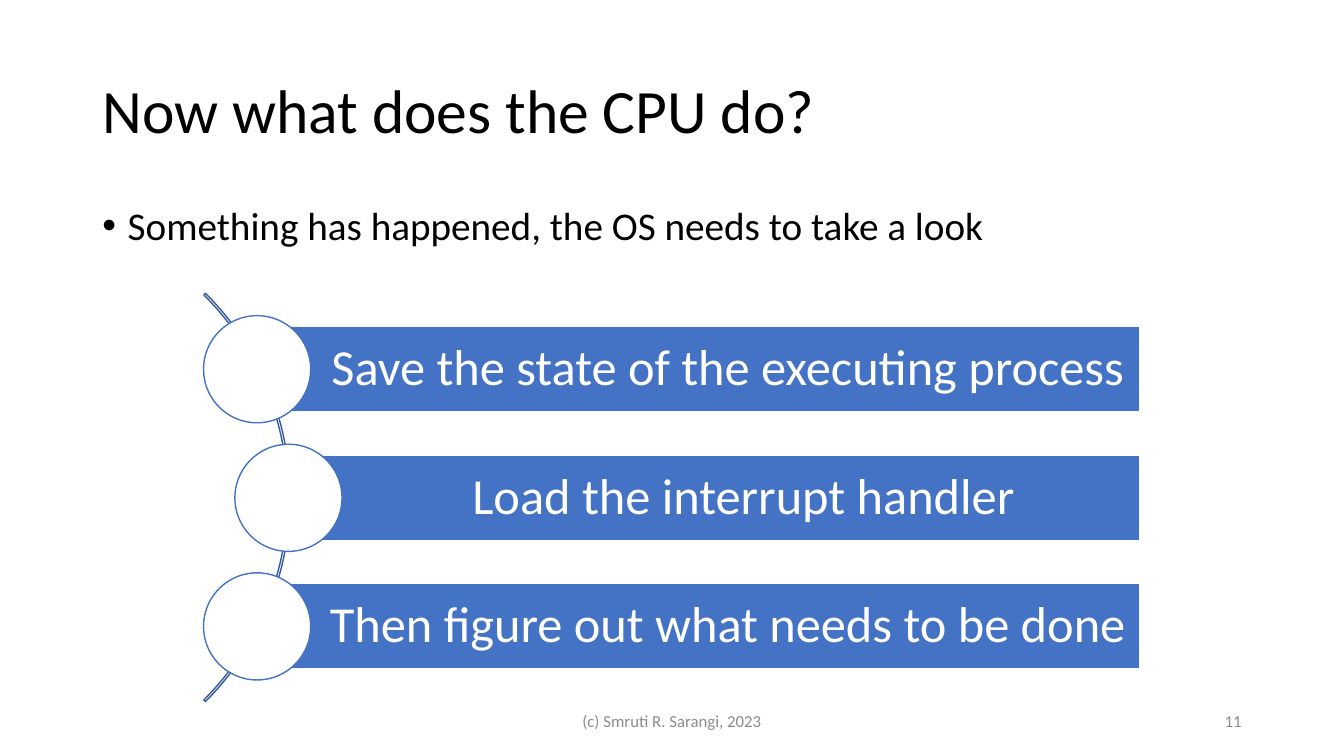
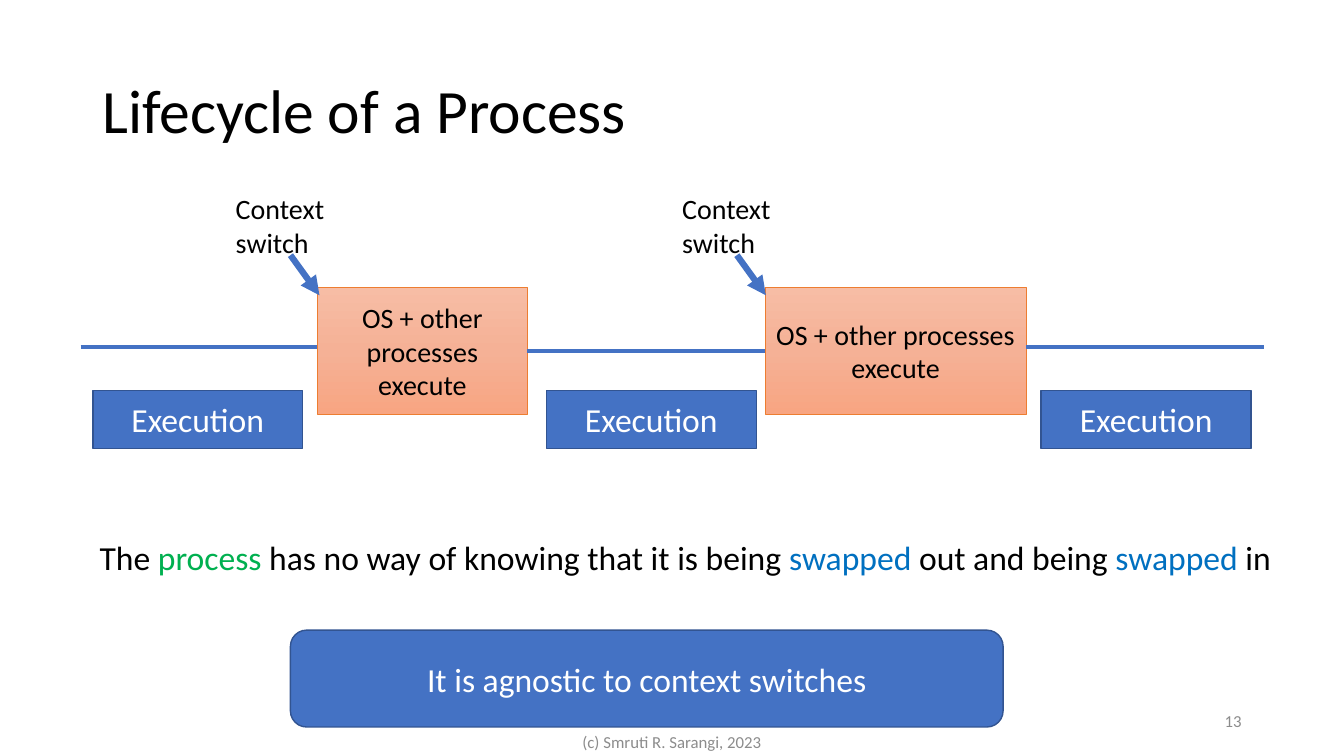
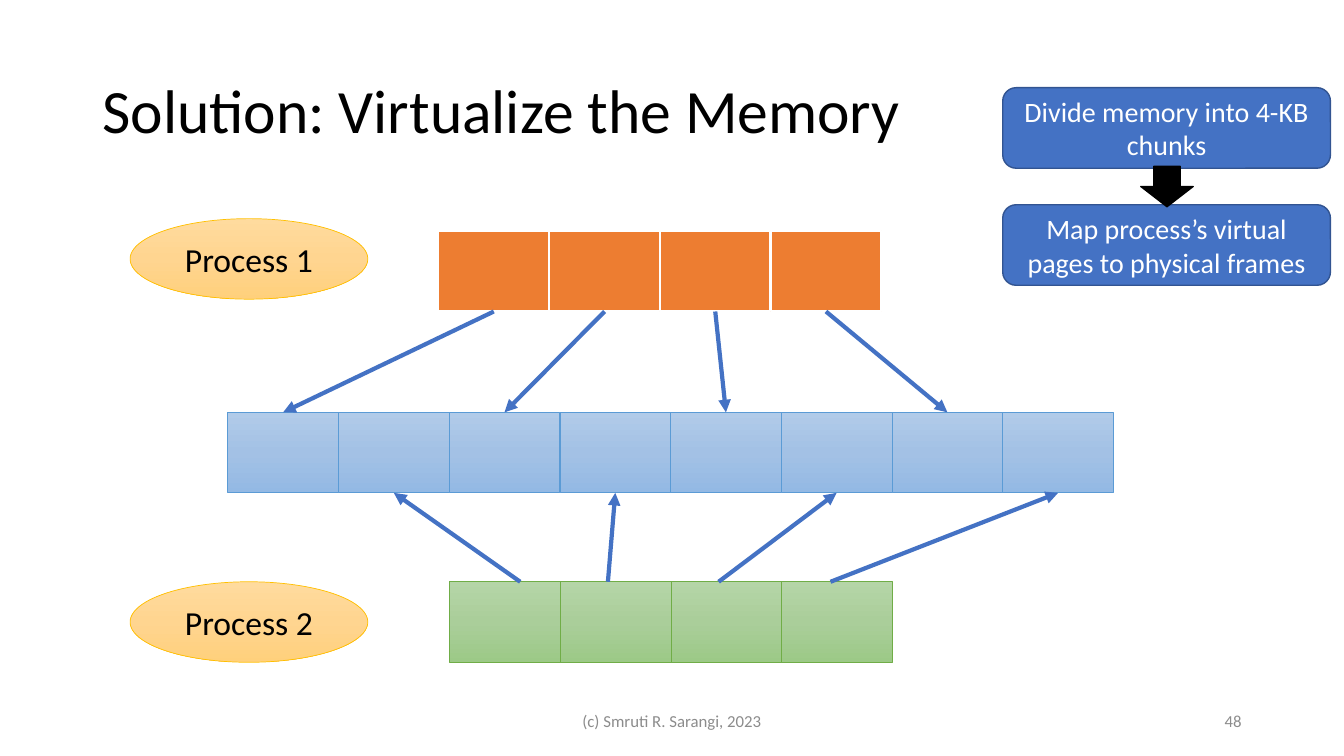
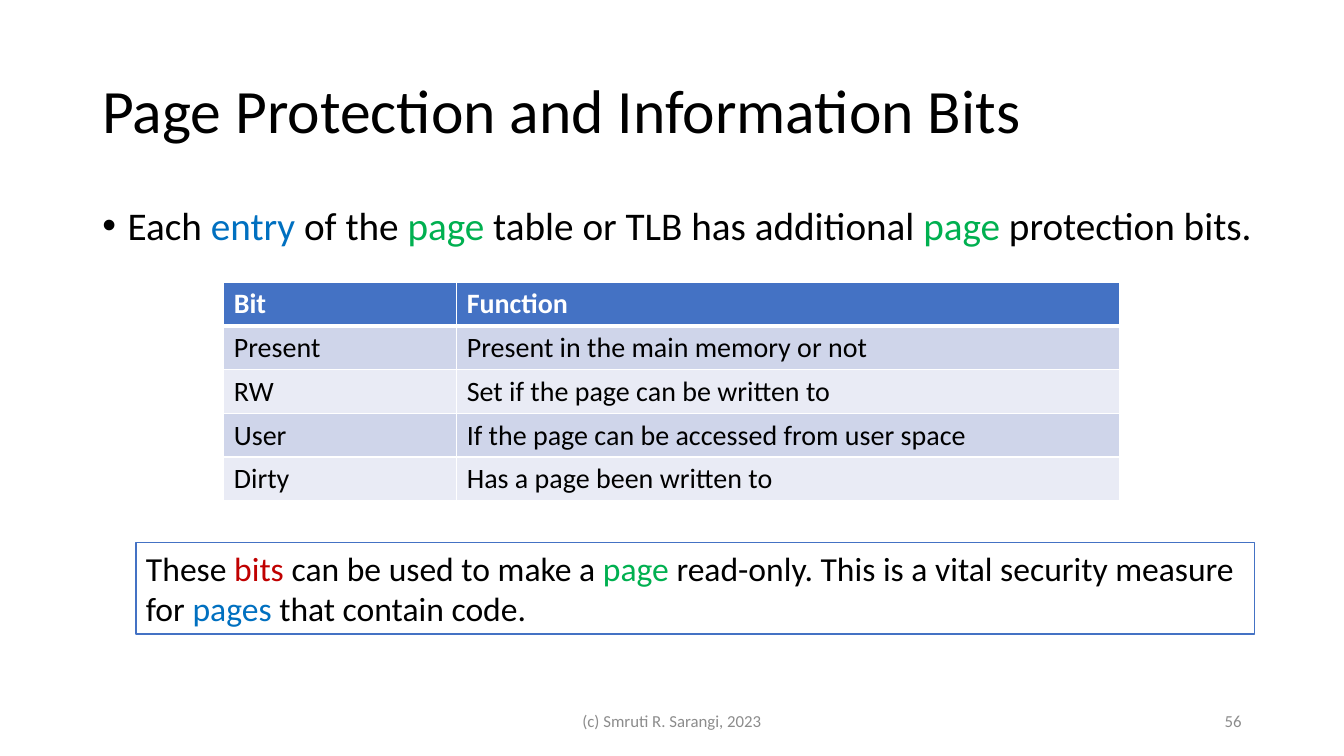
from copy import deepcopy

from lxml.etree import SubElement
from pptx import Presentation
from pptx.dml.color import RGBColor
from pptx.enum.shapes import MSO_CONNECTOR as Line, MSO_SHAPE as Preset
from pptx.enum.text import MSO_ANCHOR as Anchor, PP_ALIGN as Align
from pptx.oxml.ns import qn
from pptx.util import Cm, Pt

COLORS = {
    "black": "000000", "white": "FFFFFF", "gray": "8C8C8C",
    "blue": "4472C4", "navy": "325491", "arc": "365B9D",
    "orange": "ED7D31", "sky": "5B9BD5", "leaf": "70AD47", "gold": "FFC000",
    "green": "00B050", "azure": "0070C0", "red": "C00000",
    "band_dark": "CFD5EA", "band_light": "E9EBF5",
}
GRADIENTS = {
    "orange": ("F7BDA5", "F5B196", "F8A582"),
    "sky": ("B1CBE9", "A3C1E5", "93B9E4"),
    "leaf": ("B5D5A7", "AACE9A", "9CC987"),
    "gold": ("FFDB9E", "FFD590", "FFD07C"),
}
FONT = "Calibri"
COPYRIGHT = "(c) Smruti R. Sarangi, 2023"
CONTENT_LEFT = 2.33
CONTENT_WIDTH = 29.21
TITLE = {"font": {"size": Pt(44)}, "paragraph": {"line_spacing": 0.9},
         "frame": {"vertical_anchor": Anchor.MIDDLE}}
BULLET = {"font": {"size": Pt(28)}, "paragraph": {"line_spacing": 0.9}}
NOTE = {"font": {"size": Pt(24)}, "frame": {"word_wrap": False}}
LABEL = {"font": {"size": Pt(20)}, "frame": {"word_wrap": False}}
CELL = {"font": {"size": Pt(20), "bold": False}}
HEADER_CELL = {"font": {"size": Pt(20), "bold": True}}
STEP = {"font": {"size": Pt(36)}, "paragraph": {"line_spacing": 0.9},
        "frame": {"vertical_anchor": Anchor.MIDDLE, "margin_left": Cm(1.73)}}


def centered(size, alignment=Align.CENTER):
    return {"font": {"size": Pt(size)}, "paragraph": {"alignment": alignment},
            "frame": {"vertical_anchor": Anchor.MIDDLE}}


def rgb(name):
    return RGBColor.from_string(COLORS[name])


def apply(target, values):
    for attribute, value in values.items():
        setattr(target, attribute, value)


def write(frame, paragraphs, style, color="black"):
    """Each paragraph is a string or a list of strings and (string, color) pairs."""
    frame.word_wrap = True
    apply(frame, style.get("frame", {}))
    for index, content in enumerate(paragraphs):
        paragraph = frame.add_paragraph() if index else frame.paragraphs[0]
        apply(paragraph, style.get("paragraph", {}))
        for part in [content] if isinstance(content, str) else content:
            words, run_color = (part, color) if isinstance(part, str) else part
            for line_index, line in enumerate(words.split("\n")):
                if line_index:
                    paragraph.add_line_break()
                run = paragraph.add_run()
                run.text = line
                apply(run.font, {"name": FONT, **style["font"]})
                run.font.color.rgb = rgb(run_color)


def add_text(slide, box, paragraphs, style, color="black"):
    text = slide.shapes.add_textbox(*map(Cm, box))
    write(text.text_frame, paragraphs, style, color)
    return text


def add_bullet(slide, content, width=CONTENT_WIDTH):
    bullet = add_text(slide, (CONTENT_LEFT, 5.07, width, 2.06), [content], BULLET)
    properties = bullet.text_frame.paragraphs[0]._p.get_or_add_pPr()
    indent = Cm(0.64)
    properties.set("marL", str(indent))
    properties.set("indent", str(-indent))
    SubElement(properties, qn("a:buFont")).set("typeface", "Arial")
    SubElement(properties, qn("a:buChar")).set("char", "•")


def outline(shape, color, width):
    shape.line.color.rgb = rgb(color)
    shape.line.width = Pt(width)


def add_shape(slide, preset, box, fill="blue", line="navy", width=1):
    shape = slide.shapes.add_shape(preset, *map(Cm, box))
    shape.shadow.inherit = False
    if fill:
        shape.fill.solid()
        shape.fill.fore_color.rgb = rgb(fill)
    else:
        shape.fill.background()
    outline(shape, line, width)
    return shape


def add_gradient_shape(slide, preset, box, hue):
    shape = add_shape(slide, preset, box, hue, hue, 0.5)
    shape.fill.gradient()
    shape.fill.gradient_angle = 270
    stops = shape._element.spPr.find(".//" + qn("a:gsLst"))
    stops.insert(1, deepcopy(stops[0]))
    for index, stop in enumerate(shape.fill.gradient_stops):
        stop.position = index / 2
        stop.color.rgb = RGBColor.from_string(GRADIENTS[hue][index])
    return shape


def add_callout(slide, preset, box, words, size):
    callout = add_shape(slide, preset, box)
    write(callout.text_frame, [words], centered(size), "white")


def add_line(slide, start=(0, 0), end=(0, 0), width=3, arrow=False,
             source=None, target=None):
    """Source and target are (shape, side) pairs that replace start and end."""
    line = slide.shapes.add_connector(Line.STRAIGHT, *map(Cm, (*start, *end)))
    outline(line, "blue", width)
    SubElement(line._element.spPr, qn("a:effectLst"))
    if arrow:
        SubElement(line.line._get_or_add_ln(), qn("a:tailEnd")).set("type", "triangle")
    if source:
        line.begin_connect(*source)
    if target:
        line.end_connect(*target)


def start_slide(deck, title, number, footer_top=17.66):
    slide = deck.slides.add_slide(deck.slide_layouts[6])
    add_text(slide, (CONTENT_LEFT, 1.01, CONTENT_WIDTH, 3.68), [title], TITLE)
    add_text(slide, (11.22, footer_top, 11.43, 1.01), [COPYRIGHT], centered(12), "gray")
    add_text(slide, (23.92, 17.66, 7.62, 1.01), [str(number)],
             centered(12, Align.RIGHT), "gray")
    return slide


def build_interrupt_steps(deck):
    slide = start_slide(deck, "Now what does the CPU do?", 11)
    add_bullet(slide, "Something has happened, the OS needs to take a look")
    arc = add_shape(slide, Preset.BLOCK_ARC, (-7.24, 5.26, 14.55, 14.55), None, "arc")
    for index, value in enumerate((189, 27, 0.004)):
        arc.adjustments[index] = value
    steps = (("Save the state of the executing process", 6.48),
             ("Load the interrupt handler", 7.27),
             ("Then figure out what needs to be done", 6.48))
    right, height, diameter = 28.73, 2.15, 2.7
    for index, (words, left) in enumerate(steps):
        top = 8.23 + index * 3.24
        bar = add_shape(slide, Preset.RECTANGLE, (left, top, right - left, height),
                        line="white")
        write(bar.text_frame, [words], STEP, "white")
        add_shape(slide, Preset.OVAL,
                  (left - diameter / 2, top + (height - diameter) / 2, diameter, diameter),
                  "white", "blue")


def build_lifecycle(deck):
    slide = start_slide(deck, "Lifecycle of a Process", 13, footer_top=18.18)
    switched_out = []
    for left, width in ((8, 5.29), (19.28, 6.58)):
        box = add_gradient_shape(slide, Preset.RECTANGLE, (left, 7.24, width, 3.2), "orange")
        write(box.text_frame, ["OS + other processes execute"], centered(20))
        switched_out.append(box)
    first, second = switched_out
    add_line(slide, (2.03, 8.74), (8, 8.74))
    add_line(slide, source=(first, 3), target=(second, 1))
    add_line(slide, (25.86, 8.74), (31.85, 8.74))
    for left in (2.34, 13.77, 26.24):
        add_callout(slide, Preset.RECTANGLE, (left, 9.84, 5.29, 1.46), "Execution", 24)
    for left in (5.69, 16.94):
        add_text(slide, (left, 4.7, 2.77, 1.96), ["Context", "switch"], LABEL)
        add_line(slide, (left + 1.63, 6.43), (left + 2.36, 7.44), 4.5, arrow=True)
    swapped = ("swapped", "azure")
    add_text(slide, (2.26, 13.41, 30.3, 1.27),
             [["The ", ("process", "green"), " has no way of knowing that it is being ",
               swapped, " out and being ", swapped, " in"]], NOTE)
    add_callout(slide, Preset.ROUNDED_RECTANGLE, (7.32, 15.88, 17.96, 2.44),
                "It is agnostic to context switches", 24)


def build_virtual_memory(deck):
    slide = start_slide(deck, "Solution: Virtualize the Memory", 48)
    cell_width, cell_height = 2.79, 2.03

    def cells(left, top, count):
        return [(left + index * cell_width, top, cell_width, cell_height)
                for index in range(count)]

    frames = [add_gradient_shape(slide, Preset.RECTANGLE, box, "sky")
              for box in cells(5.74, 10.39, 8)]
    first_pages = [add_shape(slide, Preset.RECTANGLE, box, "orange", "white", 1.5)
                   for box in cells(11.05, 5.82, 4)]
    second_top = 14.66
    for box in cells(11.33, second_top, 4):
        add_gradient_shape(slide, Preset.RECTANGLE, box, "leaf")
    for words, top in (("Process 1", 5.51), ("Process 2", second_top)):
        process = add_gradient_shape(slide, Preset.OVAL, (3.28, top, 5.99, cell_height), "gold")
        write(process.text_frame, [words], centered(24))
    for page, frame in zip(first_pages, frames[::2]):
        add_line(slide, arrow=True, source=(page, 2), target=(frame, 0))
    for start, frame in zip((13.11, 15.32, 18.11, 20.93), frames[1::2]):
        add_line(slide, (start, second_top), arrow=True, target=(frame, 2))
    for words, top in (("Divide memory into 4-KB chunks", 2.21),
                       ("Map process’s virtual pages to physical frames", 5.16)):
        add_callout(slide, Preset.ROUNDED_RECTANGLE, (25.27, top, 8.26, 2.03), words, 20)
    add_shape(slide, Preset.DOWN_ARROW, (28.75, 4.19, 1.32, 1.02), "black", "black")


def add_cell_borders(cell, row):
    """White rules, thick between the header and the body."""
    widths = {"L": 1, "R": 1, "T": 3 if row == 1 else 1, "B": 3 if row == 0 else 1}
    for side, width in widths.items():
        border = SubElement(cell._tc.get_or_add_tcPr(), qn("a:ln" + side))
        border.set("w", str(Pt(width)))
        SubElement(SubElement(border, qn("a:solidFill")), qn("a:srgbClr")).set(
            "val", COLORS["white"])


def add_bits_table(slide, rows):
    widths, row_height = (5.87, 16.71), 1.1
    box = (5.64, 7.11, sum(widths), row_height * len(rows))
    table = slide.shapes.add_table(len(rows), len(widths), *map(Cm, box)).table
    for column, width in zip(table.columns, widths):
        column.width = Cm(width)
    for row, values in enumerate(rows):
        band = "band_dark" if row % 2 else "band_light"
        fill, style, color = (band, CELL, "black") if row else ("blue", HEADER_CELL, "white")
        for column, words in enumerate(values):
            cell = table.cell(row, column)
            add_cell_borders(cell, row)
            cell.fill.solid()
            cell.fill.fore_color.rgb = rgb(fill)
            write(cell.text_frame, [words], style, color)


def build_page_bits(deck):
    slide = start_slide(deck, "Page Protection and Information Bits", 56)
    page = ("page", "green")
    add_bullet(slide, ["Each ", ("entry", "azure"), " of the ", page,
                       " table or TLB has additional ", page, " protection bits."], 30.56)
    add_bits_table(slide, (
        ("Bit", "Function"),
        ("Present", "Present in the main memory or not"),
        ("RW", "Set if the page can be written to"),
        ("User", "If the page can be accessed from user space"),
        ("Dirty", "Has a page been written to"),
    ))
    note = add_text(slide, (3.43, 13.67, 28.19, 2.31),
                    [["These ", ("bits", "red"), " can be used to make a ", page,
                      " read-only. This is a vital security measure\nfor ",
                      ("pages", "azure"), " that contain code."]], NOTE)
    note.fill.solid()
    note.fill.fore_color.rgb = rgb("white")
    outline(note, "blue", 1)


def main():
    deck = Presentation()
    deck.slide_width, deck.slide_height = Cm(33.87), Cm(19.05)
    for build in (build_interrupt_steps, build_lifecycle,
                  build_virtual_memory, build_page_bits):
        build(deck)
    deck.save("out.pptx")


if __name__ == "__main__":
    main()
